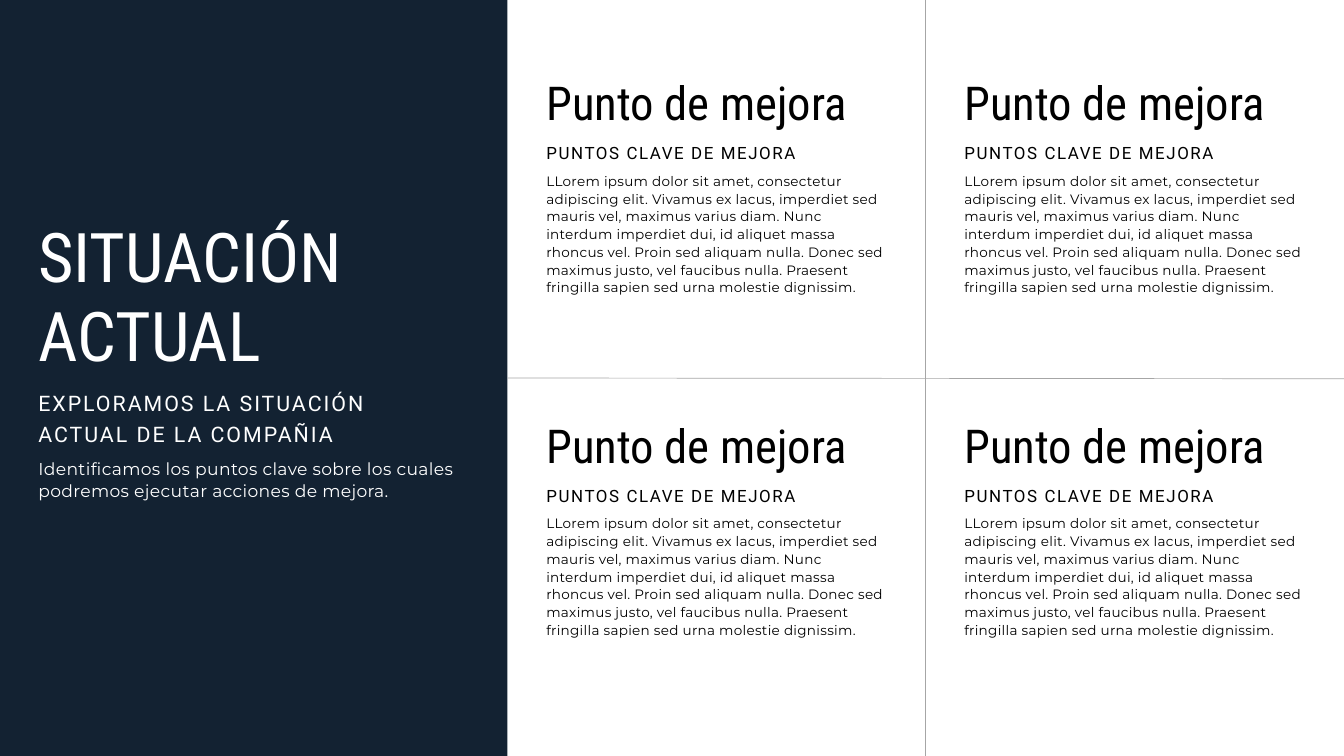
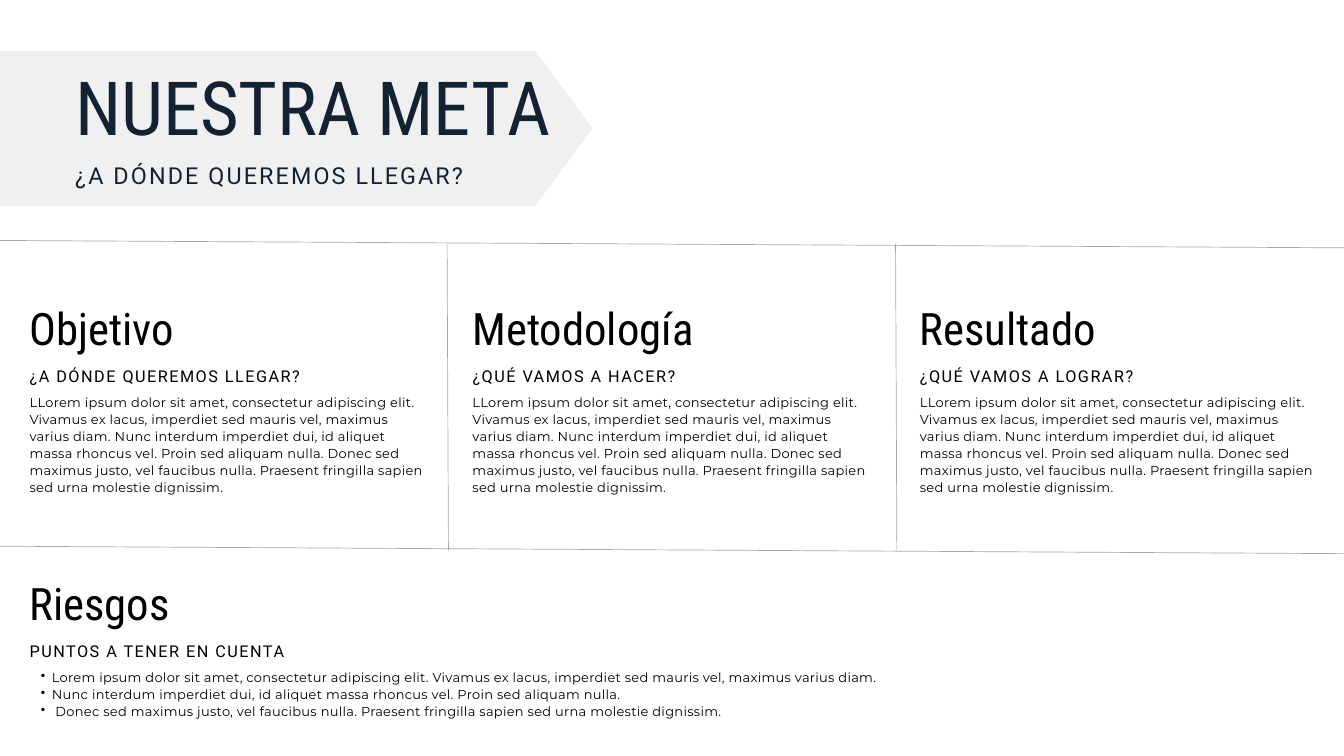
from dataclasses import dataclass

import pptx
import pptx.dml.color
import pptx.enum.shapes
import pptx.enum.text
import pptx.oxml
import pptx.oxml.ns
import pptx.presentation
import pptx.shapes.autoshape
import pptx.shapes.connector
import pptx.slide
import pptx.util
from pptx.util import Cm

WIDTH, HEIGHT = 50.8, 28.58
COLORS = {"navy": "132232", "white": "FFFFFF", "black": "000000",
          "rule": "A6A6A6", "band": "D9D9D9"}
LOREM = ("LLorem ipsum dolor sit amet, consectetur adipiscing elit. Vivamus ex lacus, "
         "imperdiet sed mauris vel, maximus varius diam. Nunc interdum imperdiet dui, "
         "id aliquet massa rhoncus vel. Proin sed aliquam nulla. Donec sed maximus justo, "
         "vel faucibus nulla. Praesent fringilla sapien sed urna molestie dignissim.")
RISKS = [
    "Lorem ipsum dolor sit amet, consectetur adipiscing elit. Vivamus ex lacus, "
    "imperdiet sed mauris vel, maximus varius diam.",
    "Nunc interdum imperdiet dui, id aliquet massa rhoncus vel. Proin sed aliquam nulla.",
    " Donec sed maximus justo, vel faucibus nulla. Praesent fringilla sapien sed urna "
    "molestie dignissim.",
]


@dataclass(frozen=True)
class TextStyle:
    font: str
    size: float
    leading: float
    tracking: float = 0
    color: str = "black"


@dataclass(frozen=True)
class Box:
    left: float
    top: float
    width: float
    height: float


@dataclass(frozen=True)
class SectionStyle:
    heading: TextStyle
    subheading: TextStyle
    body: TextStyle
    heading_height: float
    subheading_height: float
    subheading_drop: float
    body_drop: float


@dataclass(frozen=True)
class Section:
    heading: str
    subheading: str
    body: list[str]
    box: Box
    bulleted: bool = False


IMPROVEMENT = SectionStyle(
    TextStyle("Roboto Condensed", 50, 57.5),
    TextStyle("Roboto", 18.1, 26.2, 1.7),
    TextStyle("Montserrat", 14.5, 19, 0.3),
    2.06, 0.86, 2.34, 3.58)
GOAL = SectionStyle(
    TextStyle("Roboto Condensed", 47.9, 55.1),
    TextStyle("Roboto", 17.4, 25.2, 1.6),
    TextStyle("Montserrat", 13.9, 18.2, 0.3),
    1.98, 0.84, 2.24, 3.4)


def rgb(name: str) -> pptx.dml.color.RGBColor:
    return pptx.dml.color.RGBColor.from_string(COLORS[name])


def add_text(slide: pptx.slide.Slide, lines: list[str], box: Box, style: TextStyle,
             bulleted: bool = False) -> None:
    frame = slide.shapes.add_textbox(
        Cm(box.left), Cm(box.top), Cm(box.width), Cm(box.height)).text_frame
    frame.margin_left = frame.margin_right = frame.margin_top = frame.margin_bottom = 0
    frame.word_wrap = True
    frame.auto_size = pptx.enum.text.MSO_AUTO_SIZE.SHAPE_TO_FIT_TEXT
    frame.text = "\n".join(lines)
    for paragraph in frame.paragraphs:
        paragraph.line_spacing = pptx.util.Pt(style.leading)
        for run in paragraph.runs:
            run.font.name = style.font
            run.font.size = pptx.util.Pt(style.size)
            run.font.color.rgb = rgb(style.color)
            if style.tracking:
                run.font._element.set("spc", str(round(style.tracking * 100)))
        if bulleted:
            properties = paragraph._p.get_or_add_pPr()
            properties.set("marL", str(Cm(0.84)))
            properties.set("indent", str(Cm(-0.41)))
            bullet = pptx.oxml.parse_xml(
                f'<a:buChar {pptx.oxml.ns.nsdecls("a")} char="•"/>')
            properties.append(bullet)


def add_section(slide: pptx.slide.Slide, section: Section, style: SectionStyle) -> None:
    box = section.box
    add_text(slide, [section.heading],
             Box(box.left, box.top, box.width, style.heading_height), style.heading)
    add_text(slide, [section.subheading],
             Box(box.left, box.top + style.subheading_drop,
                 box.width * 0.9, style.subheading_height), style.subheading)
    add_text(slide, section.body,
             Box(box.left, box.top + style.body_drop, box.width,
                 box.height - style.body_drop), style.body, section.bulleted)


def add_rule(slide: pptx.slide.Slide, x1: float, y1: float, x2: float,
             y2: float) -> pptx.shapes.connector.Connector:
    rule = slide.shapes.add_connector(
        pptx.enum.shapes.MSO_CONNECTOR.STRAIGHT, Cm(x1), Cm(y1), Cm(x2), Cm(y2))
    rule.line.color.rgb = rgb("rule")
    rule.line.width = pptx.util.Pt(0.75)
    rule._element.spPr.append(
        pptx.oxml.parse_xml(f'<a:effectLst {pptx.oxml.ns.nsdecls("a")}/>'))
    return rule


def add_block(slide: pptx.slide.Slide, preset: pptx.enum.shapes.MSO_SHAPE, box: Box,
              color: str) -> pptx.shapes.autoshape.Shape:
    block = slide.shapes.add_shape(
        preset, Cm(box.left), Cm(box.top), Cm(box.width), Cm(box.height))
    block.shadow.inherit = False
    block.fill.solid()
    block.fill.fore_color.rgb = rgb(color)
    block.line.fill.background()
    return block


def add_blank_slide(deck: pptx.presentation.Presentation) -> pptx.slide.Slide:
    slide = deck.slides.add_slide(deck.slide_layouts[6])
    slide.background.fill.solid()
    slide.background.fill.fore_color.rgb = rgb("white")
    return slide


def build_situation(deck: pptx.presentation.Presentation) -> None:
    slide = add_blank_slide(deck)
    panel_width = 19.18
    panel = add_block(slide, pptx.enum.shapes.MSO_SHAPE.RECTANGLE,
                      Box(0, 0, panel_width, HEIGHT), "navy")
    add_text(slide, ["SITUACIÓN ACTUAL"], Box(1.45, 8.23, 16.28, 5.97),
             TextStyle("Roboto Condensed", 73.4, 84.4, color="white"))
    add_text(slide, ["EXPLORAMOS LA SITUACIÓN ACTUAL DE LA COMPAÑIA"],
             Box(1.45, 14.55, 14.68, 2.26),
             TextStyle("Roboto", 22.9, 33.3, 2.1, "white"))
    add_text(slide, ["Identificamos los puntos clave sobre los cuales podremos "
                     "ejecutar acciones de mejora."],
             Box(1.45, 17.25, 16.28, 1.65),
             TextStyle("Montserrat", 18.4, 24, 0.4, "white"))

    middle = add_rule(slide, panel_width, HEIGHT / 2, WIDTH, HEIGHT / 2 + 0.03)
    middle.begin_connect(panel, 3)
    center = (panel_width + WIDTH) / 2
    add_rule(slide, center, HEIGHT, center, 0)
    for top in (2.9, 15.85):
        for left in (20.65, 36.45):
            add_section(slide, Section("Punto de mejora", "PUNTOS CLAVE DE MEJORA",
                                       [LOREM], Box(left, top, 12.85, 8.18)), IMPROVEMENT)


def build_goal(deck: pptx.presentation.Presentation) -> None:
    slide = add_blank_slide(deck)
    for top in (9.09, 20.65):
        add_rule(slide, 0, top, WIDTH, top + 0.28)
    for column in (1, 2):
        foot = 16.95 * column
        add_rule(slide, foot, 20.8, foot - 0.05, 9.22)

    band = add_block(slide, pptx.enum.shapes.MSO_SHAPE.PENTAGON,
                     Box(0, 1.93, 22.4, 5.85), "band")
    band.adjustments[0] = 0.37
    tint = band._element.spPr.find(".//" + pptx.oxml.ns.qn("a:srgbClr"))
    tint.append(pptx.oxml.parse_xml(
        f'<a:alpha {pptx.oxml.ns.nsdecls("a")} val="37000"/>'))
    add_text(slide, ["NUESTRA META"], Box(2.84, 2.46, 36.4, 3.25),
             TextStyle("Roboto Condensed", 80, 92, color="navy"))
    add_text(slide, ["¿A DÓNDE QUEREMOS LLEGAR?"], Box(2.84, 5.87, 22.02, 1.24),
             TextStyle("Roboto", 25, 36.2, 2.3, "navy"))

    columns = [("Objetivo", "¿A DÓNDE QUEREMOS LLEGAR?", 1.12),
               ("Metodología", "¿QUÉ VAMOS A HACER?", 17.86),
               ("Resultado", "¿QUÉ VAMOS A LOGRAR?", 34.77)]
    for heading, question, left in columns:
        add_section(slide, Section(heading, question, [LOREM],
                                   Box(left, 11.46, 15.09, 7.18)), GOAL)
    add_section(slide, Section("Riesgos", "PUNTOS A TENER EN CUENTA", RISKS,
                               Box(1.12, 21.87, 47.96, 5.28), bulleted=True), GOAL)


def main() -> None:
    deck = pptx.Presentation()
    deck.slide_width, deck.slide_height = Cm(WIDTH), Cm(HEIGHT)
    build_situation(deck)
    build_goal(deck)
    deck.save("out.pptx")


if __name__ == "__main__":
    main()
